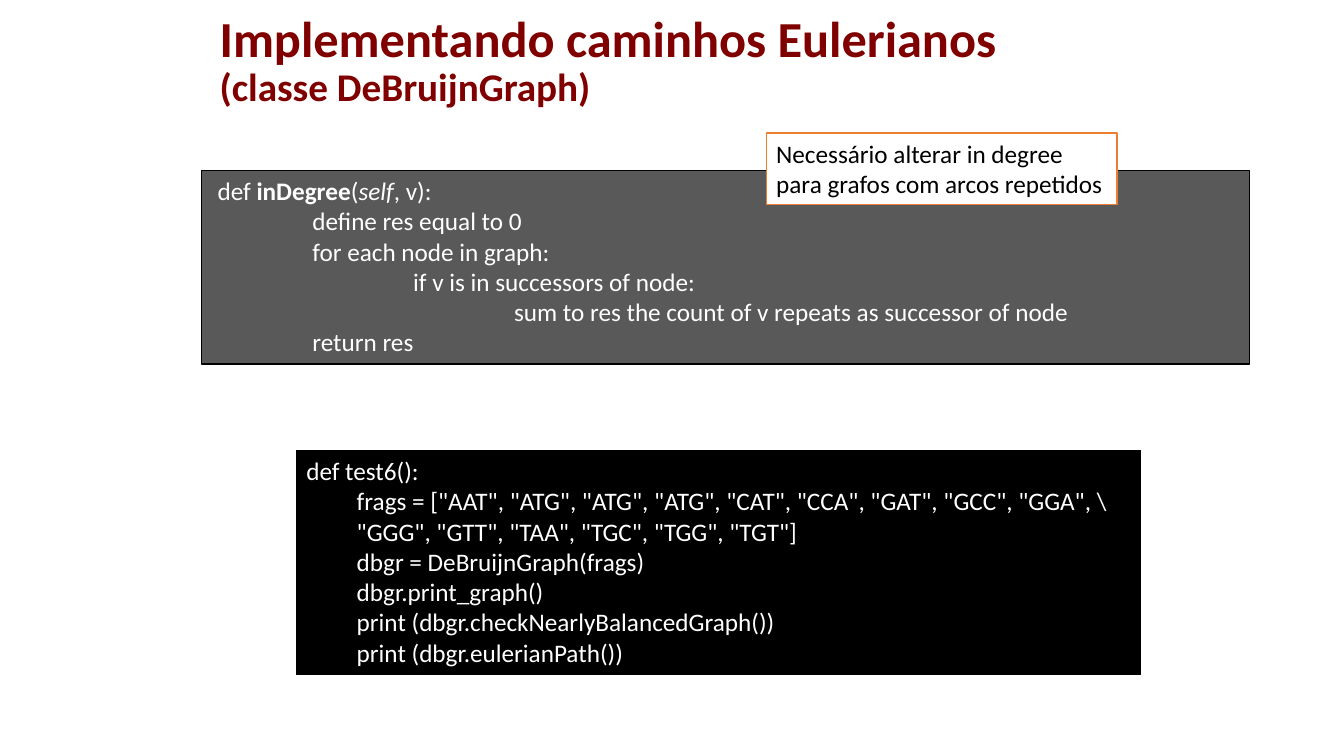
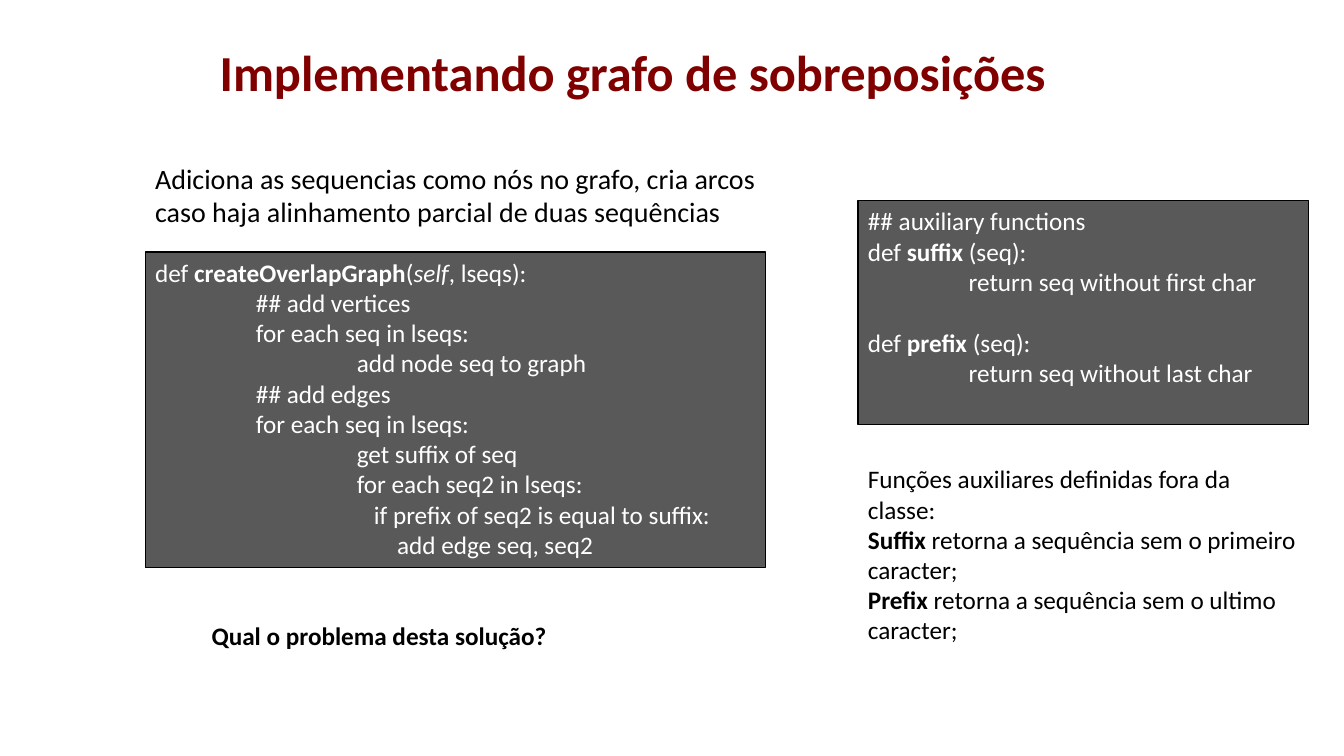
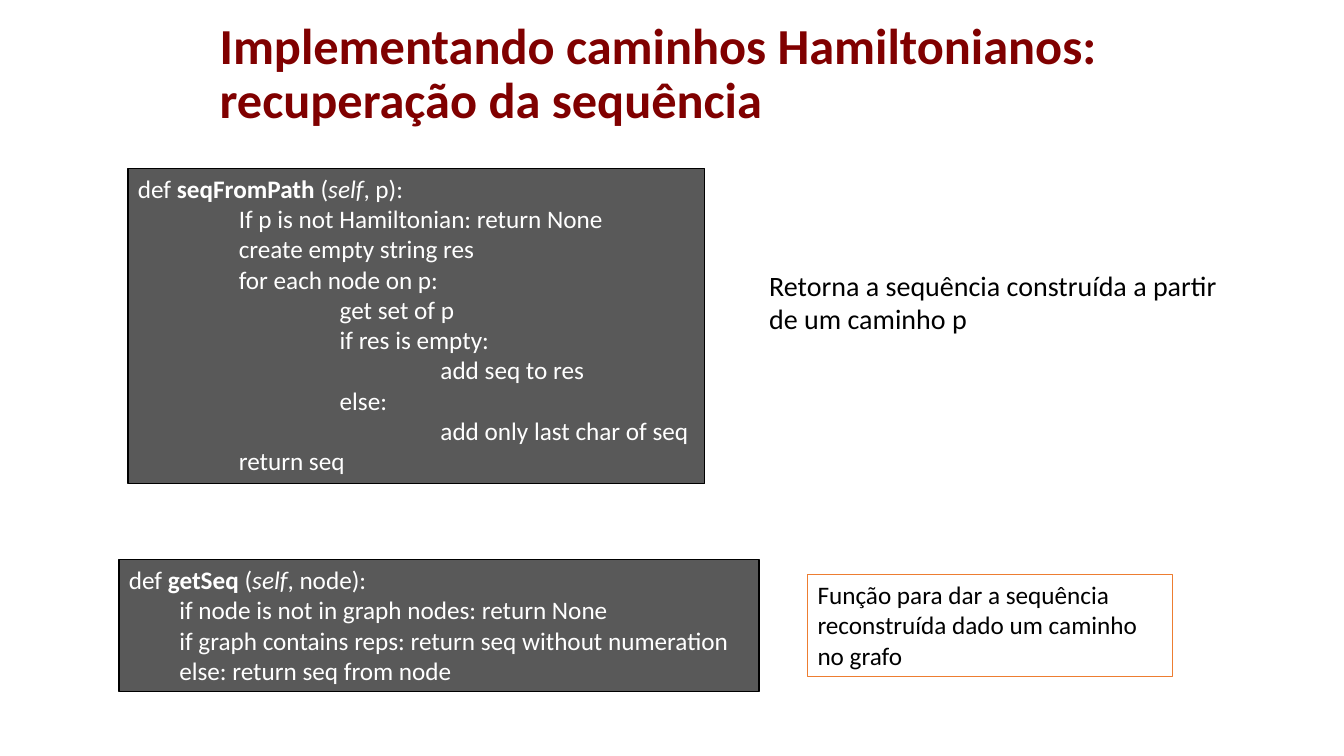
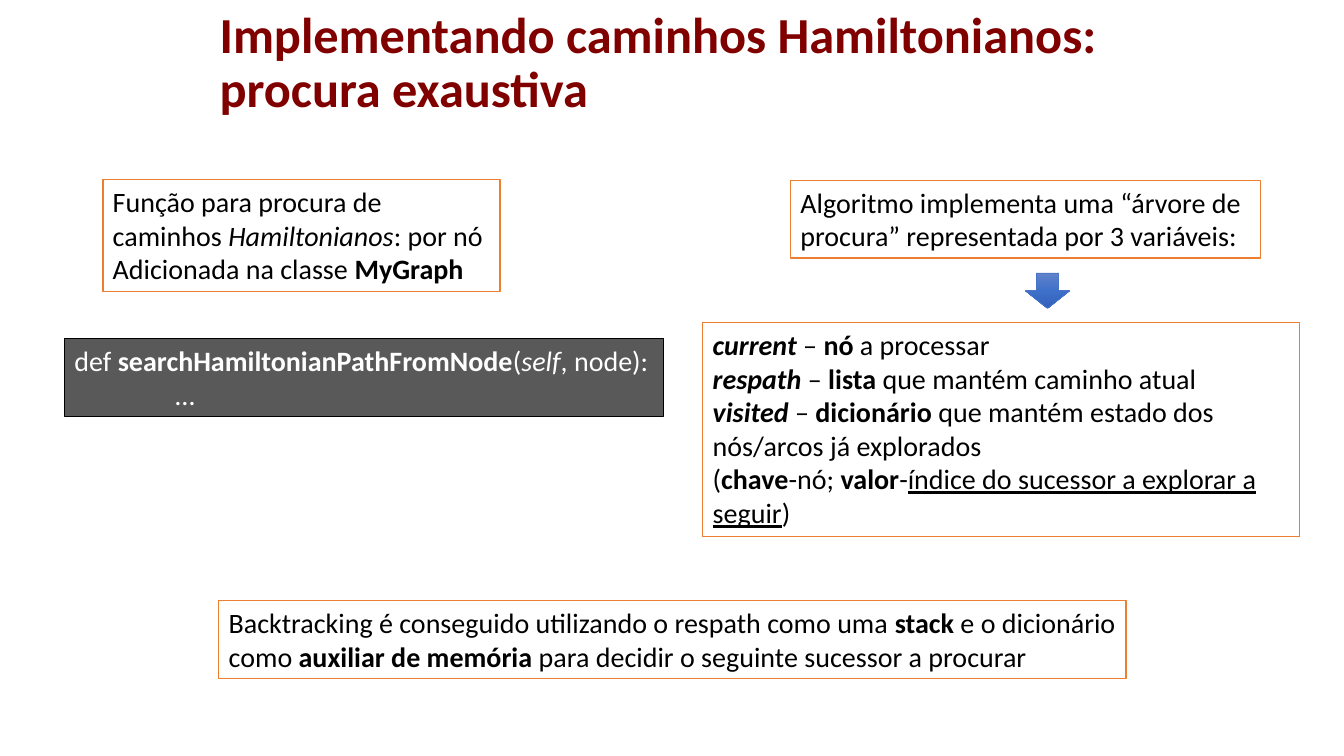
from copy import deepcopy

from pptx import Presentation
from pptx.dml.color import RGBColor as RGB
from pptx.enum.shapes import MSO_SHAPE as SHAPE
from pptx.enum.text import MSO_ANCHOR as ANCHOR, PP_ALIGN as ALIGN
from pptx.oxml.ns import qn
from pptx.util import Inches, Pt

FONT = "Calibri"
HUES = {
    "title": "800000", "black": "000000", "white": "FFFFFF",
    "code": "595959", "note": "ED7D31", "edge": "4472C4",
    "top": "6183CB", "mid": "3E70CA", "low": "3062BB",
}
# Marks that switch a style on and off inside a text
MARKS = {"*": "bold", "~": "italic", "^": "underline"}


def hue(name):
    return RGB.from_string(HUES[name])


def style(font, size, color):
    font.name, font.size = FONT, Pt(size)
    font.color.rgb = hue(color)


def add_runs(par, text):
    """Split a marked text into runs."""
    state, part = {}, ""
    for char in text + "\0":
        if char not in MARKS and char != "\0":
            part += char
            continue
        if part:
            run = par.add_run()
            run.text, part = part, ""
            for name, on in state.items():
                if on:
                    setattr(run.font, name, True)
        if char in MARKS:
            state[MARKS[char]] = not state.get(MARKS[char])


def write(shape, lines, size, color):
    """Fill a shape with lines: a text, or (indent, text[, space before])."""
    frame = shape.text_frame
    frame.word_wrap = True
    frame.vertical_anchor = ANCHOR.TOP
    for i, line in enumerate(lines):
        indent, text, *gap = (0, line) if isinstance(line, str) else line
        par = frame.add_paragraph() if i else frame.paragraphs[0]
        par.alignment = ALIGN.LEFT
        style(par.font, size, color)
        if indent:
            props = par._p.get_or_add_pPr()
            props.set("marL", str(Inches(indent)))
            props.set("indent", "0")
        if gap:
            par.space_before = Pt(gap[0])
        add_runs(par, text)


def add_text(slide, area, lines, size=18):
    box = slide.shapes.add_textbox(*map(Inches, area))
    write(box, lines, size, "black")


def add_box(slide, area, lines, size, fill, line, color):
    box = slide.shapes.add_shape(SHAPE.RECTANGLE, *map(Inches, area))
    box.shadow.inherit = False
    box.fill.solid()
    box.fill.fore_color.rgb = hue(fill)
    box.line.color.rgb = hue(line)
    box.line.width = Pt(1)
    write(box, lines, size, color)


def add_code(slide, area, lines, size=18, fill="code"):
    add_box(slide, area, lines, size, fill, "black", "white")


def add_note(slide, area, lines, size=20):
    add_box(slide, area, lines, size, "white", "note", "black")


def add_arrow(slide, area):
    arrow = slide.shapes.add_shape(SHAPE.DOWN_ARROW, *map(Inches, area))
    arrow.shadow.inherit = False
    arrow.line.color.rgb = hue("edge")
    arrow.line.width = Pt(0.5)
    arrow.fill.gradient()
    arrow.fill.gradient_angle = 270
    # A third stop goes between the two default ones
    stops = arrow._element.spPr.find(qn("a:gradFill")).find(qn("a:gsLst"))
    stops.insert(1, deepcopy(stops[0]))
    for i, name in enumerate(("top", "mid", "low")):
        stop = arrow.fill.gradient_stops[i]
        stop.position = i / 2
        stop.color.rgb = hue(name)


def new_slide(deck, title, top=0.12, sub=None):
    """Add a slide with its title and an optional smaller second line."""
    slide = deck.slides.add_slide(deck.slide_layouts[6])
    box = slide.shapes.add_textbox(*map(Inches, (2.08, top, 9, 1.25)))
    write(box, [title], 36, "title")
    box.text_frame.vertical_anchor = ANCHOR.MIDDLE
    par = box.text_frame.paragraphs[0]
    par.font.bold = True
    par.line_spacing = 0.9
    if sub:
        par.add_line_break()
        run = par.add_run()
        run.text = sub
        run.font.size = Pt(28)
    return slide


def euler(deck):
    slide = new_slide(deck, "Implementando caminhos Eulerianos", -0.01,
                      "(classe DeBruijnGraph)")
    add_code(slide, (2, 1.69, 10.39, 1.92), [
        (0.06, "def *inDegree*(~self~, v):"),
        (1, "define res equal to 0"),
        (1, "for each node in graph:"),
        (2, "if v is in successors of node:"),
        (3, "sum to res the count of v repeats as successor of node"),
        (1, "return res"),
    ])
    add_note(slide, (7.6, 1.32, 3.48, 0.71), [
        "Necessário alterar in degree para grafos com arcos repetidos"], 18)
    add_code(slide, (2.94, 4.47, 8.37, 2.22), [
        "def test6():",
        (0.5, 'frags = ["AAT", "ATG", "ATG", "ATG", "CAT", "CCA", "GAT", '
              '"GCC", "GGA", \\'),
        (0.5, '"GGG", "GTT", "TAA", "TGC", "TGG", "TGT"]'),
        (0.5, "dbgr = DeBruijnGraph(frags)"),
        (0.5, "dbgr.print_graph()"),
        (0.5, "print (dbgr.checkNearlyBalancedGraph())"),
        (0.5, "print (dbgr.eulerianPath())"),
    ], fill="black")


def overlap(deck):
    slide = new_slide(deck, "Implementando grafo de sobreposições")
    add_code(slide, (1.44, 2.5, 6.15, 3.13), [
        "def *createOverlapGraph*(~self~, lseqs):",
        (1, "## add vertices"),
        (1, "for each seq in lseqs:"),
        (2, "add node seq to graph"),
        (1, "## add edges"),
        (1, "for each seq in lseqs:"),
        (2, "get suffix of seq"),
        (2, "for each seq2 in lseqs:"),
        (2.17, "if prefix of seq2 is equal to suffix:"),
        (2.4, "add edge seq, seq2"),
    ])
    add_code(slide, (8.51, 1.99, 4.47, 2.22), [
        "## auxiliary functions",
        "def *suffix* (seq):",
        (1, "return seq without first char"),
        (0, "def *prefix* (seq):", 22),
        (1, "return seq without last char"),
    ])
    add_text(slide, (8.51, 4.55, 4.47, 2.26), [
        "Funções auxiliares definidas fora da classe:",
        "*Suffix* retorna a sequência sem o primeiro caracter;",
        "*Prefix* retorna a sequência sem o ultimo caracter;",
    ])
    add_text(slide, (2, 6.11, 4.26, 0.4), ["*Qual o problema desta solução?*"])
    add_text(slide, (1.44, 1.55, 6.47, 0.77), [
        "Adiciona as sequencias como nós no grafo, cria arcos caso haja "
        "alinhamento parcial de duas sequências"], 20)


def recover(deck):
    slide = new_slide(
        deck, "Implementando caminhos Hamiltonianos: recuperação da sequência")
    add_code(slide, (1.27, 1.67, 5.72, 3.13), [
        "def *seqFromPath* (~self~, p):",
        (1, "If p is not Hamiltonian: return None"),
        (1, "create empty string res"),
        (1, "for each node on p:"),
        (2, "get set of p"),
        (2, "if res is empty:"),
        (3, "add seq to res"),
        (2, "else:"),
        (3, "add only last char of seq"),
        (1, "return seq"),
    ])
    add_code(slide, (1.18, 5.55, 6.35, 1.31), [
        "def *getSeq* (~self~, node):",
        (0.5, "if node is not in graph nodes: return None"),
        (0.5, "if graph contains reps: return seq without numeration"),
        (0.5, "else: return seq from node"),
    ])
    add_note(slide, (8.01, 5.7, 3.62, 1.01), [
        "Função para dar a sequência reconstruída dado um caminho no grafo"],
        18)
    add_text(slide, (7.53, 2.61, 4.73, 0.77), [
        "Retorna a sequência construída a partir de um caminho p"], 20)


def search(deck):
    slide = new_slide(
        deck, "Implementando caminhos Hamiltonianos: procura exaustiva", 0.01)
    add_code(slide, (0.64, 3.36, 5.94, 0.77), [
        "def *searchHamiltonianPathFromNode*(~self~, node):", (1, "…")], 20)
    add_note(slide, (6.97, 3.2, 5.92, 2.12), [
        "*~current~* – *nó* a processar",
        "*~respath~* – *lista* que mantém caminho atual",
        "*~visited~* – *dicionário* que mantém estado dos nós/arcos já "
        "explorados",
        "(*chave*-nó; *valor*-^índice do sucessor a explorar a seguir^)",
    ])
    add_note(slide, (7.84, 1.79, 4.66, 0.77), [
        "Algoritmo implementa uma “árvore de procura” representada por 3 "
        "variáveis:"])
    add_arrow(slide, (10.17, 2.71, 0.44, 0.35))
    add_note(slide, (1.02, 1.78, 3.94, 1.11), [
        "Função para procura de caminhos ~Hamiltonianos~: por nó",
        "Adicionada na classe *MyGraph*",
    ])
    add_note(slide, (2.17, 5.96, 9, 0.77), [
        "Backtracking é conseguido utilizando o respath como uma *stack* e o "
        "dicionário como *auxiliar de memória* para decidir o seguinte "
        "sucessor a procurar"])


def main():
    deck = Presentation()
    deck.slide_width, deck.slide_height = Inches(13.33), Inches(7.5)
    for build in (euler, overlap, recover, search):
        build(deck)
    deck.save("out.pptx")


if __name__ == "__main__":
    main()
